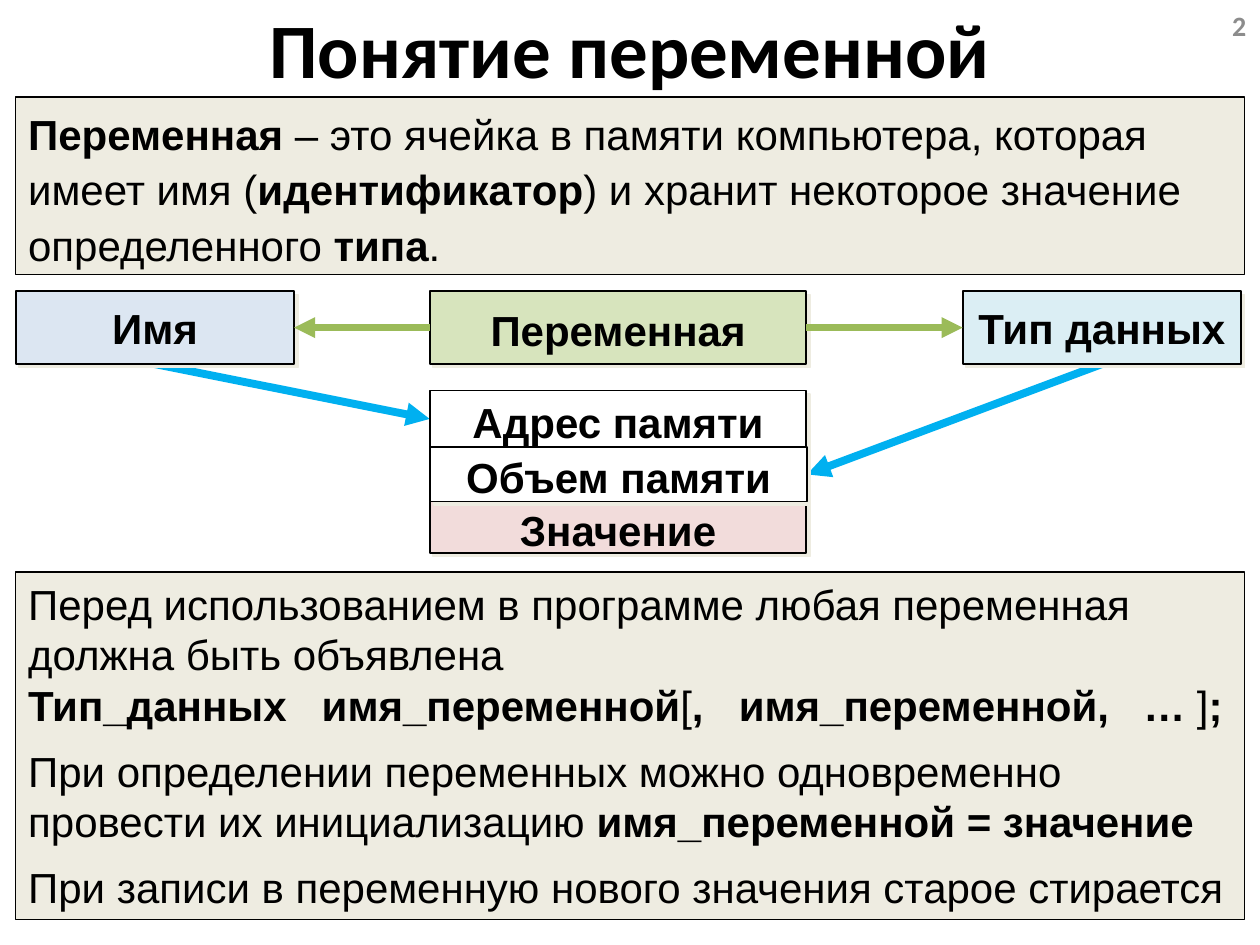
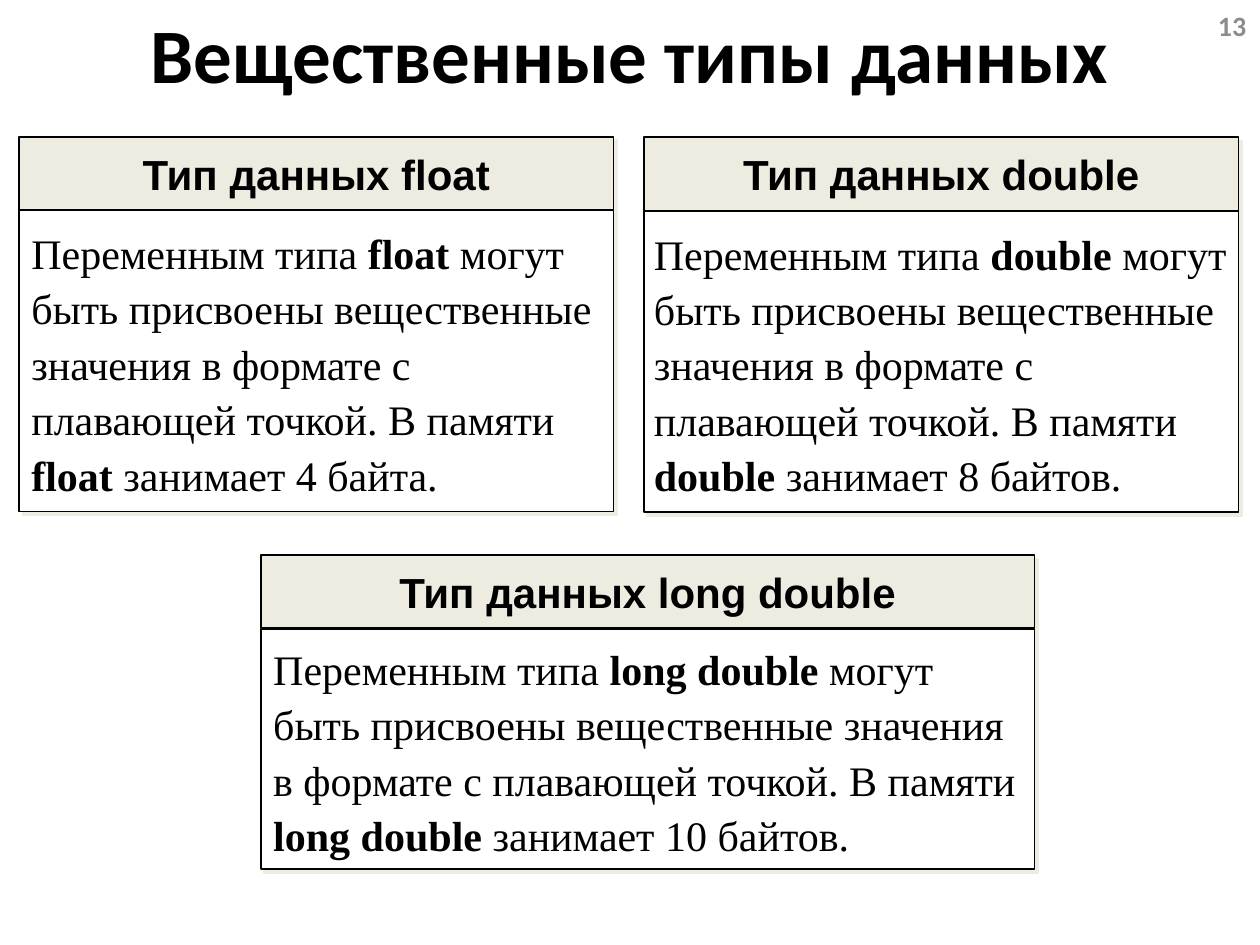
"""Builds two slides on variables and floating-point data types."""
from lxml import etree
from pptx import Presentation, util as u
from pptx.dml.color import RGBColor
from pptx.enum import shapes, text
from pptx.oxml.ns import qn

BLACK = RGBColor(0x00, 0x00, 0x00)
WHITE = RGBColor(0xFF, 0xFF, 0xFF)
GRAY = RGBColor(0x8C, 0x8C, 0x8C)
SAND = RGBColor(0xEE, 0xEC, 0xE1)
ROSE = RGBColor(0xF2, 0xDC, 0xDB)
PALE_BLUE = RGBColor(0xDC, 0xE6, 0xF2)
PALE_AQUA = RGBColor(0xDB, 0xEE, 0xF4)
PALE_GREEN = RGBColor(0xD7, 0xE4, 0xBD)
GREEN = RGBColor(0x9B, 0xBB, 0x59)
BLUE = RGBColor(0x00, 0xB0, 0xF0)
CENTER, LEFT = text.PP_ALIGN.CENTER, text.PP_ALIGN.LEFT
MIDDLE, TOP = text.MSO_ANCHOR.MIDDLE, text.MSO_ANCHOR.TOP

prs = Presentation()
prs.slide_width, prs.slide_height = u.Inches(10), u.Inches(7.5)
COL, ROW = prs.slide_width / 100, prs.slide_height / 75


def write(sp, lines, size, font, color, align, spacing=1.0, gap=0, anchor=MIDDLE):
    """Writes paragraphs in which asterisks switch bold on and off."""
    tf = sp.text_frame
    tf.word_wrap, tf.auto_size, tf.vertical_anchor = True, text.MSO_AUTO_SIZE.NONE, anchor
    for i, line in enumerate(lines):
        p = tf.add_paragraph() if i else tf.paragraphs[0]
        p.alignment, p.line_spacing = align, spacing
        p.space_before = u.Pt(gap if i > 1 else 0)
        if "\t" in line:
            tabs = etree.SubElement(p._p.get_or_add_pPr(), qn("a:tabLst"))
            for stop in (23.3, 56.4, 88.5):
                etree.SubElement(tabs, qn("a:tab"), pos=str(int(stop * COL)), algn="l")
        for k, part in enumerate(line.split("*")):
            if part:
                r = p.add_run()
                r.text = part
                r.font.size, r.font.name, r.font.bold = u.Pt(size), font, k % 2 == 1
                r.font.color.rgb = color


def box(s, x, y, w, h, fill, lines, align=CENTER, font="Arial", spacing=1.0,
        gap=0, anchor=MIDDLE, shadow=True):
    """Adds a bordered text box, placed in grid columns and rows."""
    sp = s.shapes.add_shape(shapes.MSO_SHAPE.RECTANGLE, int(x * COL), int(y * ROW),
                            int(w * COL), int(h * ROW))
    sp.shadow.inherit = False
    sp.fill.solid()
    sp.fill.fore_color.rgb = fill
    sp.line.color.rgb = BLACK
    sp.line.width = u.Pt(1 if shadow else 0.75)
    if shadow:
        effects = sp._element.spPr.find(qn("a:effectLst"))
        outer = etree.SubElement(effects, qn("a:outerShdw"), dist=str(u.Pt(2.8)),
                                 dir="2700000", algn="ctr", rotWithShape="0")
        etree.SubElement(outer, qn("a:srgbClr"), val=str(SAND))
    write(sp, lines, 24, font, BLACK, align, spacing, gap, anchor)
    return sp


slides = []
for title, number, height in (("Понятие переменной", "2", 7.6),
                              ("Вещественные типы данных", "13", 8.4)):
    s = prs.slides.add_slide(prs.slide_layouts[5])
    sp = s.shapes.title
    sp.left, sp.top, sp.width, sp.height = 0, 0, prs.slide_width, int(height * ROW)
    write(sp, [f"*{title}*"], 44, "Calibri", BLACK, CENTER)
    sp = s.shapes.add_textbox(int(76.6 * COL), 0, int(23.3 * COL), int(4 * ROW))
    write(sp, [f"*{number}*"], 16, "Calibri", GRAY, text.PP_ALIGN.RIGHT)
    slides.append(s)

s = slides[0]
box(s, 1.25, 45.4, 97.5, 27.6, SAND, [
    "Перед использованием в программе любая переменная должна быть объявлена",
    "*Тип_данных\tимя_переменной*[*,\tимя_переменной,\t… *]*;*",
    "При определении переменных можно одновременно провести их инициализацию "
    "*имя_переменной = значение*",
    "При записи в переменную нового значения старое стирается",
], LEFT, gap=9, anchor=TOP, shadow=False)
box(s, 1.25, 7.7, 97.5, 14.1, SAND, [
    "*Переменная* – это ячейка в памяти компьютера, которая имеет имя "
    "(*идентификатор*) и хранит некоторое значение определенного *типа*.",
], LEFT, spacing=1.1, anchor=TOP, shadow=False)

nodes = {}
for label, x, y, w, h, fill, spacing in (
        ("Значение", 34.1, 39.8, 29.9, 4.1, ROSE, 1.1),
        ("Имя", 1.25, 23.1, 22.1, 5.8, PALE_BLUE, 1.0),
        ("Тип данных", 76.4, 23.1, 22.1, 5.8, PALE_AQUA, 1.0),
        ("Адрес памяти", 34.1, 31, 29.9, 4.5, WHITE, 1.1),
        ("Переменная", 34.1, 23.1, 29.9, 5.8, PALE_GREEN, 1.1),
        ("Объем памяти", 34.15, 35.5, 29.9, 4.3, WHITE, 1.1)):
    nodes[label] = box(s, x, y, w, h, fill, [f"*{label}*"], spacing=spacing)

for start, side, end, end_side, color, width in (
        ("Переменная", 3, "Тип данных", 1, GREEN, 4),
        ("Переменная", 1, "Имя", 3, GREEN, 4),
        ("Имя", 2, "Адрес памяти", 1, BLUE, 4.5),
        ("Тип данных", 2, "Объем памяти", 3, BLUE, 4.5)):
    arrow = s.shapes.add_connector(shapes.MSO_CONNECTOR.STRAIGHT, 0, 0, 0, 0)
    arrow.begin_connect(nodes[start], side)
    arrow.end_connect(nodes[end], end_side)
    arrow.line.color.rgb, arrow.line.width = color, u.Pt(width)
    etree.SubElement(arrow.line._get_or_add_ln(), qn("a:tailEnd"), type="triangle")
    etree.SubElement(arrow._element.spPr, qn("a:effectLst"))
    if color == BLUE:
        arrow._element.getparent().insert(2, arrow._element)

s = slides[1]
for name, amount, x, y, w, h, inset in (
        ("float", "4 байта", 1.5, 10.85, 47.2, 23.9, 0.1),
        ("double", "8 байтов", 51.1, 10.9, 47.2, 23.9, 0.08),
        ("long double", "10 байтов", 20.7, 44.05, 61.4, 19.1, 0.1)):
    box(s, x, y, w, 5.8, SAND, [f"*Тип данных {name}*"])
    sp = box(s, x, y + 5.85, w, h, WHITE, [
        f"Переменным типа *{name} *могут быть присвоены вещественные значения "
        f"в формате с плавающей точкой. В памяти *{name} *занимает {amount}.",
    ], LEFT, "Times New Roman", 1.1)
    sp.text_frame.margin_left = sp.text_frame.margin_right = u.Inches(inset)

prs.save("out.pptx")
